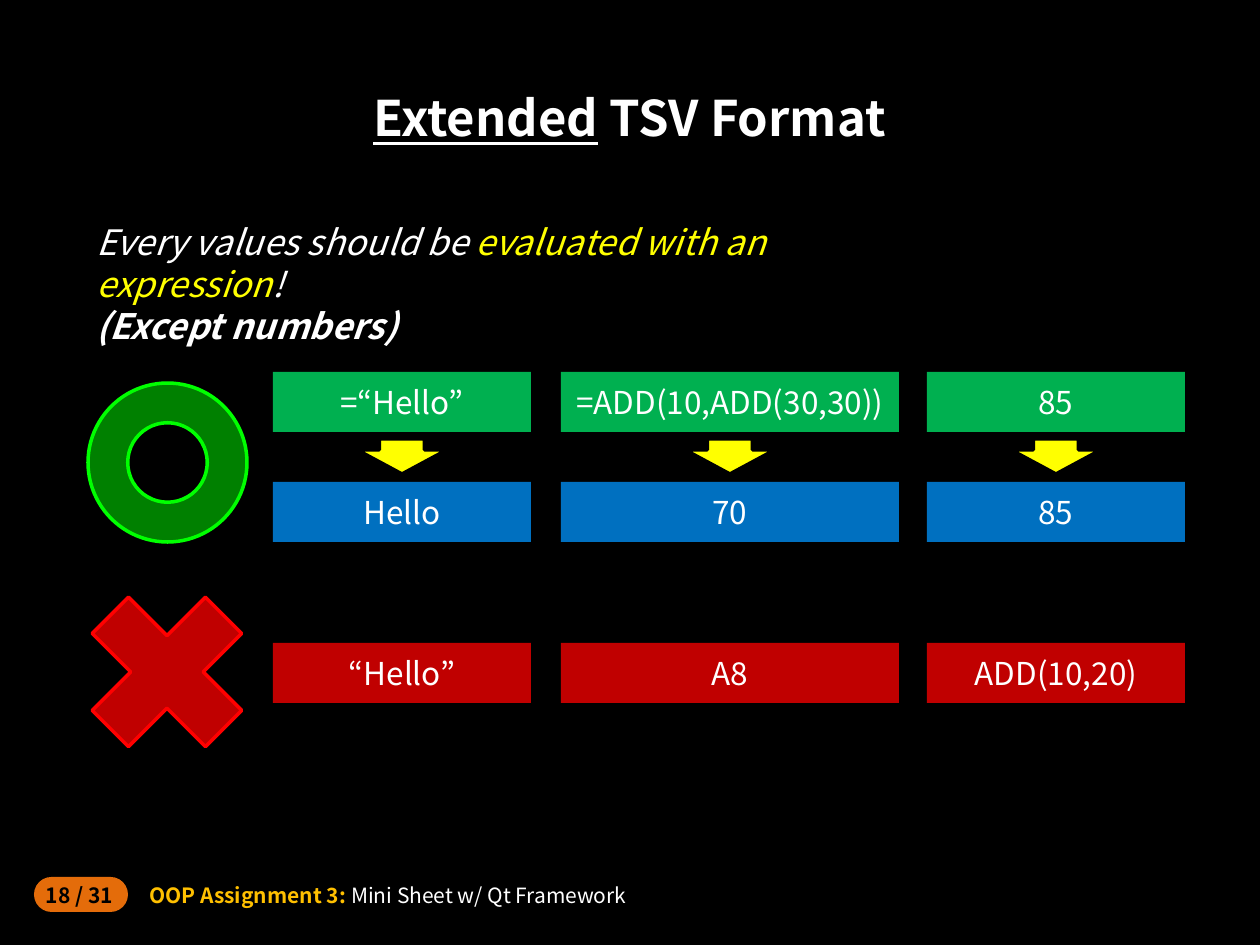
from lxml.etree import SubElement
from pptx import Presentation
from pptx.dml.color import RGBColor
from pptx.enum.shapes import MSO_SHAPE as Preset
from pptx.enum.text import MSO_ANCHOR as Anchor, PP_ALIGN as Align
from pptx.oxml.ns import qn
from pptx.util import Emu, Pt

PX = 914400 // 126
FONT = "Noto Sans CJK KR"
BLACK = RGBColor(0x00, 0x00, 0x00)
WHITE = RGBColor(0xFF, 0xFF, 0xFF)
YELLOW = RGBColor(0xFF, 0xFF, 0x00)
AMBER = RGBColor(0xFF, 0xC0, 0x00)
ORANGE = RGBColor(0xE4, 0x6C, 0x0A)
INPUT_GREEN = RGBColor(0x00, 0xB0, 0x50)
RESULT_BLUE = RGBColor(0x00, 0x70, 0xC0)
WRONG_RED = RGBColor(0xC0, 0x00, 0x00)
RING_GREEN = RGBColor(0x00, 0x80, 0x00)
RING_EDGE = RGBColor(0x00, 0xFF, 0x00)
CROSS_EDGE = RGBColor(0xFF, 0x00, 0x00)

COLUMNS = [(273, 258), (561, 338), (927, 258)]
CELL_HEIGHT = 60
ROWS = [
    (372, INPUT_GREEN, ["=“Hello”", "=ADD(10,ADD(30,30))", "85"]),
    (482, RESULT_BLUE, ["Hello", "70", "85"]),
    (643, WRONG_RED, ["“Hello”", "A8", "ADD(10,20)"]),
]
ARROW_TOP, ARROW_WIDTH, ARROW_HEIGHT = 439, 90, 35


def px(*lengths):
    return [Emu(length * PX) for length in lengths]


def add_run(paragraph, text, size=18, color=WHITE, bold=False, italic=False, underline=False):
    run = paragraph.add_run()
    run.text = text
    font = run.font
    font.size, font.name = Pt(size), FONT
    font.bold, font.italic, font.underline = bold, italic, underline
    font.color.rgb = color
    SubElement(font._element, qn("a:ea"), typeface=FONT)


def write(frame, paragraphs, align=Align.LEFT, anchor=Anchor.TOP, side_inset=None, **style):
    frame.word_wrap = True
    frame.vertical_anchor = anchor
    if side_inset is not None:
        frame.margin_left = frame.margin_right = side_inset
    for index, runs in enumerate(paragraphs):
        paragraph = frame.add_paragraph() if index else frame.paragraphs[0]
        paragraph.alignment = align
        for text, changes in runs:
            add_run(paragraph, text, **{**style, **changes})


def add_text(slide, box, paragraphs, **style):
    write(slide.shapes.add_textbox(*px(*box)).text_frame, paragraphs, **style)


def add_figure(slide, preset, box, fill, edge=None, adjustments=()):
    figure = slide.shapes.add_shape(preset, *px(*box))
    figure.shadow.inherit = False
    figure.fill.solid()
    figure.fill.fore_color.rgb = fill
    if edge is None:
        figure.line.fill.background()
    else:
        figure.line.color.rgb = edge
        figure.line.width = Pt(2)
    for index, value in enumerate(adjustments):
        figure.adjustments[index] = value
    return figure


def add_footer(slide):
    add_figure(slide, Preset.ROUNDED_RECTANGLE, (34, 877, 94, 35), ORANGE, adjustments=[0.5])
    add_text(slide, (35, 876, 89, 38), [[("18 / 31", {})]],
             size=12, color=BLACK, bold=True, align=Align.CENTER, side_inset=0)
    add_text(slide, (137, 876, 771, 38), [[
        ("OOP Assignment 3: ", {"color": AMBER, "bold": True}),
        ("Mini Sheet w/ Qt Framework", {}),
    ]], size=12)


def add_cells(slide):
    for top, fill, values in ROWS:
        for (left, width), value in zip(COLUMNS, values):
            cell = add_figure(slide, Preset.RECTANGLE, (left, top, width, CELL_HEIGHT), fill)
            write(cell.text_frame, [[(value, {})]], align=Align.CENTER, anchor=Anchor.MIDDLE)


def add_arrows(slide):
    for left, width in COLUMNS:
        arrow_left = left + (width - ARROW_WIDTH) // 2
        add_figure(slide, Preset.DOWN_ARROW, (arrow_left, ARROW_TOP, ARROW_WIDTH, ARROW_HEIGHT),
                   YELLOW, BLACK, [0.5, 0.69])


def main():
    deck = Presentation()
    deck.slide_width, deck.slide_height = px(1260, 945)
    slide = deck.slides.add_slide(deck.slide_layouts[6])
    slide.background.fill.solid()
    slide.background.fill.fore_color.rgb = BLACK

    add_footer(slide)
    add_text(slide, (63, 78, 1133, 77),
             [[("Extended", {"underline": True}), (" TSV Format", {})]],
             size=28, bold=True, align=Align.CENTER, anchor=Anchor.MIDDLE)
    add_text(slide, (84, 214, 882, 97), [
        [("Every values should be ", {}),
         ("evaluated with an expression", {"color": YELLOW}),
         ("!", {})],
        [("(Except numbers)", {"bold": True})],
    ], size=20, italic=True)
    add_cells(slide)
    add_arrows(slide)
    add_figure(slide, Preset.DONUT, (88, 383, 159, 159), RING_GREEN, RING_EDGE)
    add_figure(slide, Preset.MATH_MULTIPLY, (58, 563, 218, 218), WRONG_RED, CROSS_EDGE)
    deck.save("out.pptx")


main()
